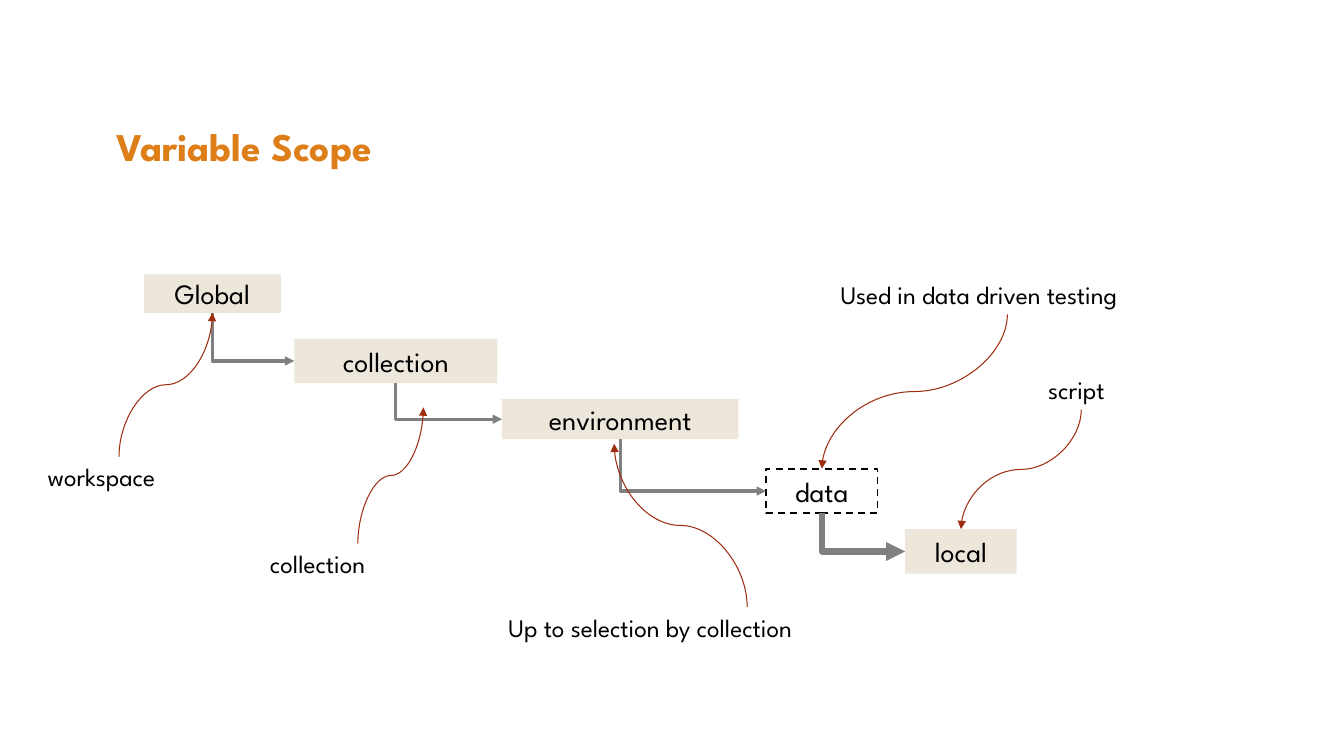
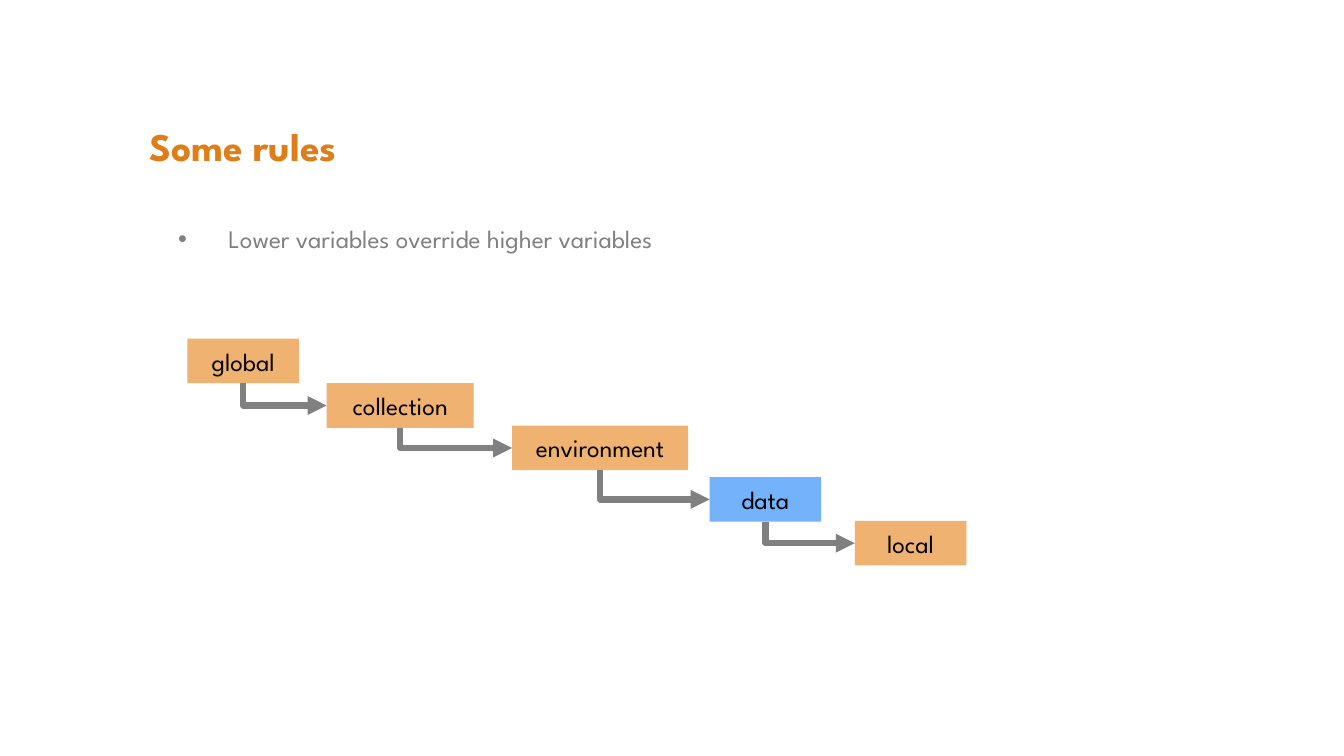
"""Build two slides on variable scope and its override rule."""
from itertools import pairwise

from lxml import etree
from pptx import Presentation, util as u
from pptx.dml.color import RGBColor
from pptx.enum import dml, shapes, text
from pptx.oxml import ns

WIDTH, HEIGHT = u.Inches(13.33), u.Inches(7.5)
FONT = "League Spartan"
ORANGE = RGBColor(0xDE, 0x7E, 0x18)
PEACH = RGBColor(0xF0, 0xB2, 0x70)
BLUE = RGBColor(0x74, 0xB2, 0xFC)
SAND = RGBColor(0xED, 0xE6, 0xDB)
RUST = RGBColor(0x9E, 0x2E, 0x0F)
GREY = RGBColor(0x80, 0x80, 0x80)
BLACK = RGBColor(0, 0, 0)
WHITE = RGBColor(0xFF, 0xFF, 0xFF)
TOP, LEFT, BOTTOM = 0, 1, 2
TITLE_ONLY, TITLE_AND_BODY = 5, 1
ROW = 5.9
NOTE_HEIGHT = 5.3


def across(percent):
    """Return a share of the slide's width."""
    return round(WIDTH * percent / 100)


def down(percent):
    """Return a share of the slide's height."""
    return round(HEIGHT * percent / 100)


def area(left, top, width, height):
    """Turn percentages of the slide into left, top, width and height."""
    return across(left), down(top), across(width), down(height)


def write(frame, words, size, color, bold=False, align=text.PP_ALIGN.LEFT):
    """Write one run into the first paragraph and return the paragraph."""
    paragraph = frame.paragraphs[0]
    paragraph.alignment = align
    paragraph.space_before = u.Pt(0)
    run = paragraph.add_run()
    run.text = words
    run.font.name, run.font.size, run.font.bold = FONT, u.Pt(size), bold
    run.font.color.rgb = color
    return paragraph


def place(holder, spot):
    """Move a placeholder and return its text frame."""
    holder.left, holder.top, holder.width, holder.height = area(*spot)
    holder.text_frame.auto_size = text.MSO_AUTO_SIZE.NONE
    return holder.text_frame


def add_slide(deck, layout, title, spot):
    """Add a slide with the shared title style."""
    slide = deck.slides.add_slide(deck.slide_layouts[layout])
    frame = place(slide.shapes.title, spot)
    frame.vertical_anchor = text.MSO_ANCHOR.MIDDLE
    write(frame, title, 28, ORANGE, bold=True)
    return slide


def add_bullet(slide, words, spot):
    """Write a bulleted rule into the body placeholder."""
    paragraph = write(place(slide.placeholders[1], spot), words, 18, GREY)
    properties = paragraph._p.get_or_add_pPr()
    properties.set("marL", str(u.Inches(0.5)))
    properties.set("indent", str(-u.Inches(0.5)))
    etree.SubElement(properties, ns.qn("a:buFont"), typeface="Arial")
    etree.SubElement(properties, ns.qn("a:buChar"), char="•")


def add_scope(slide, name, spot, size, fill, dashed=False):
    """Draw the box of one scope."""
    scope = slide.shapes.add_shape(shapes.MSO_SHAPE.RECTANGLE, *area(*spot))
    scope.shadow.inherit = False
    scope.fill.solid()
    scope.fill.fore_color.rgb = fill
    if dashed:
        scope.line.color.rgb = BLACK
        scope.line.width = u.Pt(1.25)
        scope.line.dash_style = dml.MSO_LINE.DASH
    else:
        scope.line.fill.background()
    scope.text_frame.vertical_anchor = text.MSO_ANCHOR.MIDDLE
    write(scope.text_frame, name, size, BLACK, align=text.PP_ALIGN.CENTER)
    return scope


def add_note(slide, words, left, top, width):
    """Add a free-standing remark."""
    note = slide.shapes.add_textbox(*area(left, top, width, NOTE_HEIGHT))
    note.text_frame.word_wrap = True
    note.text_frame.auto_size = text.MSO_AUTO_SIZE.SHAPE_TO_FIT_TEXT
    write(note.text_frame, words, 18, BLACK)
    return note


def add_arrow(slide, preset, source, target, color, weight):
    """Draw an arrow that leaves vertically; target is (shape, site) or a point."""
    glued = not isinstance(target[0], int)
    end = (0, 0) if glued else target
    arrow = slide.shapes.add_connector(shapes.MSO_CONNECTOR.ELBOW, 0, 0, *end)
    arrow.begin_connect(*source)
    if glued:
        arrow.end_connect(*target)
    turn_upright(arrow)
    properties = arrow._element.spPr
    properties.find(ns.qn("a:prstGeom")).set("prst", preset)
    arrow.line.color.rgb = color
    arrow.line.width = u.Pt(weight)
    etree.SubElement(arrow.line._get_or_add_ln(), ns.qn("a:tailEnd"), type="triangle")
    etree.SubElement(properties, ns.qn("a:effectLst"))


def turn_upright(arrow):
    """Rotate a connector by a quarter turn while keeping both of its ends."""
    x1, y1, x2, y2 = arrow.begin_x, arrow.begin_y, arrow.end_x, arrow.end_y
    run, drop = x2 - x1, y2 - y1
    frame = arrow._element.spPr.xfrm
    frame.rot, frame.flipH, frame.flipV = 90, drop < 0, run > 0
    arrow.width, arrow.height = abs(drop), abs(run)
    arrow.left = (x1 + x2 - abs(drop)) // 2
    arrow.top = (y1 + y2 - abs(run)) // 2


def add_steps(slide, scopes, weights):
    """Link each scope to the next lower one."""
    for (upper, lower), weight in zip(pairwise(scopes), weights):
        add_arrow(slide, "bentConnector2", (upper, BOTTOM), (lower, LEFT), GREY, weight)


def build_scope_slide(deck):
    """Show the scopes with remarks on where each one lives."""
    slide = add_slide(deck, TITLE_ONLY, "Variable Scope", (7.9, 15.1, 33.8, 8.4))
    stairs = [
        ("Global", (10.7, 36.3, 10.2, 5.1)),
        ("collection", (21.9, 44.8, 15.1, ROW)),
        ("environment", (37.35, 52.8, 17.6, 5.3)),
        ("data", (57, 62, 8.3, ROW)),
        ("local", (67.35, 70, 8.3, ROW)),
    ]
    scopes = [
        add_scope(slide, name, spot, 20, WHITE if name == "data" else SAND, name == "data")
        for name, spot in stairs
    ]
    add_steps(slide, scopes, (2.25, 2.25, 2.25, 4.5))
    top_scope, _, _, data, local = scopes
    remarks = [
        ("workspace", (2.8, 60.4, 12.1), TOP, (top_scope, BOTTOM)),
        ("collection", (19.35, 71.9, 14.55), TOP, (across(31.5), down(53.9))),
        ("Up to selection by collection", (37.1, 80.3, 37), TOP, (across(45.7), down(58.7))),
        ("script", (77.25, 48.9, 6.4), BOTTOM, (local, TOP)),
        ("Used in data driven testing", (61.8, 36.3, 26.3), BOTTOM, (data, TOP)),
    ]
    for words, spot, site, target in remarks:
        note = add_note(slide, words, *spot)
        add_arrow(slide, "curvedConnector3", (note, site), target, RUST, 0.75)


def build_rules_slide(deck):
    """Show the override rule above the chain of scopes."""
    slide = add_slide(deck, TITLE_AND_BODY, "Some rules", (10.4, 15.3, 43.2, 8))
    add_bullet(slide, "Lower variables override higher variables", (12.5, 28.9, 71.4, 5.3))
    stairs = [
        ("global", 13.95, 44.8, 8.3),
        ("collection", 24.3, 50.7, 10.95),
        ("environment", 38.1, 56.3, 13.1),
        ("data", 52.8, 63.1, 8.3),
        ("local", 63.6, 68.9, 8.3),
    ]
    scopes = [
        add_scope(slide, name, (*spot, ROW), 18, BLUE if name == "data" else PEACH)
        for name, *spot in stairs
    ]
    add_steps(slide, scopes, [4.5] * 4)


def main():
    """Build and save the presentation."""
    deck = Presentation()
    deck.slide_width, deck.slide_height = WIDTH, HEIGHT
    build_scope_slide(deck)
    build_rules_slide(deck)
    deck.save("out.pptx")


if __name__ == "__main__":
    main()
